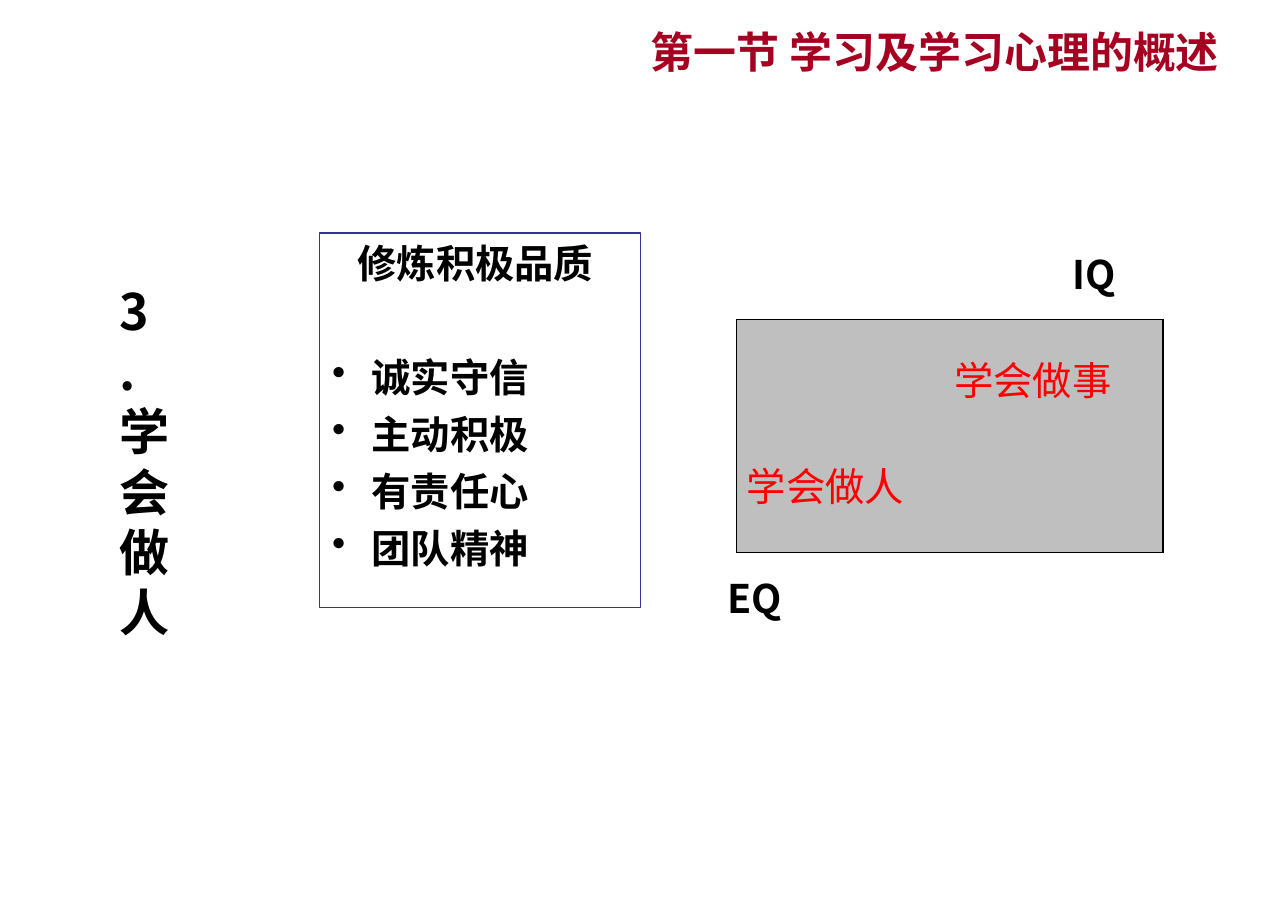
from dataclasses import dataclass

from lxml import etree
from pptx import Presentation
from pptx.dml.color import RGBColor
from pptx.enum.shapes import MSO_SHAPE
from pptx.enum.text import MSO_ANCHOR, MSO_AUTO_SIZE, PP_ALIGN
from pptx.oxml.ns import qn
from pptx.util import Pt

RECT = MSO_SHAPE.RECTANGLE
TOP, MIDDLE = MSO_ANCHOR.TOP, MSO_ANCHOR.MIDDLE
LEFT, CENTER, RIGHT = PP_ALIGN.LEFT, PP_ALIGN.CENTER, PP_ALIGN.RIGHT
GROW, FIXED = MSO_AUTO_SIZE.SHAPE_TO_FIT_TEXT, MSO_AUTO_SIZE.NONE

FONT = "Noto Sans CJK SC"
COLORS = {
    "black": "000000",
    "red": "FF0000",
    "crimson": "A50021",
    "navy": "333399",
    "gray": "808080",
}
BODY = 22
GAP = 5.5
INDENT = 22


@dataclass
class Label:
    text: str
    x: float
    y: float
    w: float
    h: float
    size: float = BODY
    color: str = "black"
    bold: bool = True
    align: PP_ALIGN = LEFT
    anchor: MSO_ANCHOR = TOP
    fit: MSO_AUTO_SIZE = GROW
    left: float = 7.2
    right: float = 7.2


LABELS = [
    Label("学会做事", 526.3, 195.8, 113.8, 33.8, color="red", bold=False),
    Label("学会做人", 405.4, 254.9, 149.8, 33.8, color="red", bold=False, left=12.1),
    Label("IQ", 592.6, 136.1, 46.8, 33.8),
    Label("EQ", 399.6, 317.5, 53.3, 33.8),
    # Too narrow for two characters, so the text runs downwards
    Label("3.学会做人", 59.8, 153.4, 36.7, 208.8, size=28),
    Label("第一节 学习及学习心理的概述", 282.2, 9.4, 411.8, 38.2, size=24,
          color="crimson", align=RIGHT, anchor=MIDDLE, fit=FIXED, right=12.6),
]
TRAITS = ["诚实守信", "主动积极", "有责任心", "团队精神"]


def rgb(name: str) -> RGBColor:
    return RGBColor.from_string(COLORS[name])


def write(para, text: str, *, size: float = BODY, color: str = "black",
          bold: bool = True, align: PP_ALIGN = LEFT, before: float = 0) -> None:
    para.alignment = align
    para.space_before = Pt(before)
    run = para.add_run()
    run.text = text
    font = run.font
    font.name, font.size, font.bold = FONT, Pt(size), bold
    font.color.rgb = rgb(color)
    etree.SubElement(font._element, qn("a:ea"), typeface=FONT)


def set_frame(frame, left: float = 7.2, right: float = 7.2) -> None:
    frame.word_wrap = True
    frame.margin_left, frame.margin_right = Pt(left), Pt(right)
    frame.margin_top = frame.margin_bottom = Pt(3.6)


def add_label(slide, item: Label) -> None:
    box = slide.shapes.add_textbox(Pt(item.x), Pt(item.y), Pt(item.w), Pt(item.h))
    frame = box.text_frame
    set_frame(frame, item.left, item.right)
    frame.auto_size = item.fit
    frame.vertical_anchor = item.anchor
    write(frame.paragraphs[0], item.text, size=item.size, color=item.color,
          bold=item.bold, align=item.align)


def add_bullet(para) -> None:
    props = para._p.get_or_add_pPr()
    props.set("marL", str(Pt(INDENT)))
    props.set("indent", str(-Pt(INDENT)))
    tint = etree.SubElement(props, qn("a:buClr"))
    etree.SubElement(tint, qn("a:srgbClr"), val=COLORS["black"])
    etree.SubElement(props, qn("a:buChar"), char="•")


def add_panel(slide) -> None:
    cell_w, cell_h = Pt(238.3), Pt(130.3)
    table = slide.shapes.add_table(1, 1, Pt(411.8), Pt(178.6), cell_w, cell_h).table
    table.first_row = table.horz_banding = False
    cell = table.cell(0, 0)
    props = cell._tc.get_or_add_tcPr()
    for side in ("lnL", "lnR", "lnT", "lnB"):
        line = etree.SubElement(props, qn(f"a:{side}"), w=str(Pt(1.08)))
        paint = etree.SubElement(line, qn("a:solidFill"))
        etree.SubElement(paint, qn("a:srgbClr"), val=COLORS["black"])
    cell.fill.solid()
    cell.fill.fore_color.rgb = rgb("gray")
    tone = props.find(qn("a:solidFill")).find(qn("a:srgbClr"))
    etree.SubElement(tone, qn("a:alpha"), val="50000")


def add_traits(slide) -> None:
    box = slide.shapes.add_shape(RECT, Pt(178.6), Pt(130.3), Pt(179.3), Pt(209.5))
    box.shadow.inherit = False
    box.fill.background()
    box.line.color.rgb = rgb("navy")
    box.line.width = Pt(0.75)
    frame = box.text_frame
    set_frame(frame, right=12.1)
    frame.vertical_anchor = TOP
    write(frame.paragraphs[0], "修炼积极品质", align=CENTER)
    for i, trait in enumerate(TRAITS):
        para = frame.add_paragraph()
        add_bullet(para)
        # The list starts one line below the heading
        write(para, trait, before=GAP if i else 2 * GAP + 1.2 * BODY)


def main() -> None:
    deck = Presentation()
    deck.slide_width, deck.slide_height = Pt(720), Pt(510.5)
    slide = deck.slides.add_slide(deck.slide_layouts[6])

    # Gray panel, then the framed list, then all labels
    add_panel(slide)
    add_traits(slide)
    for item in LABELS:
        add_label(slide, item)

    deck.save("out.pptx")


if __name__ == "__main__":
    main()
